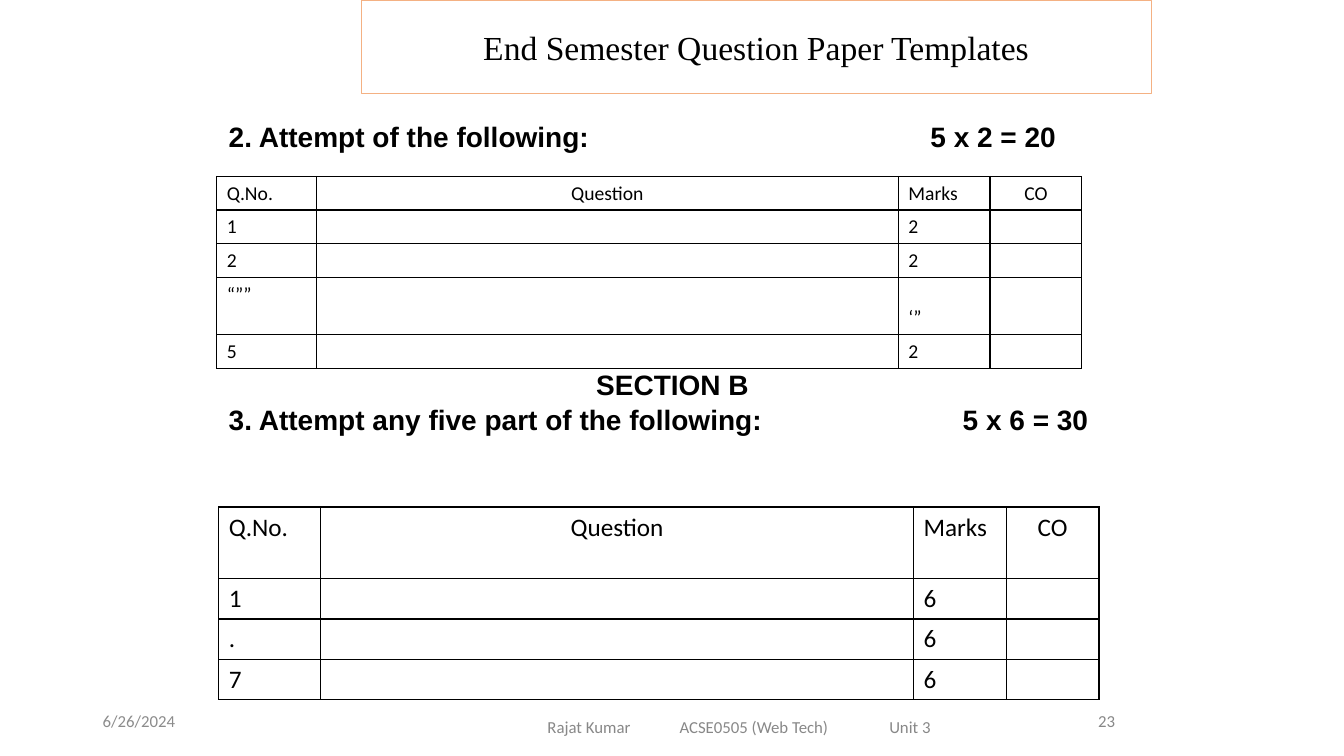
from lxml.etree import SubElement
from pptx import Presentation
from pptx.dml.color import RGBColor
from pptx.enum.shapes import MSO_SHAPE
from pptx.enum.text import MSO_ANCHOR, PP_ALIGN
from pptx.oxml.ns import qn
from pptx.util import Inches, Pt

HEADS = ["Q.No.", "Question", "Marks", "CO"]


def color(code):
    return RGBColor.from_string(code)


def write(para, text, size, face="Calibri", tint="000000", **form):
    """Add one run; form holds paragraph format values."""
    run = para.add_run()
    run.text = text
    font = run.font
    for name, value in {"size": Pt(size), "name": face, "bold": form.pop("bold", False)}.items():
        setattr(font, name, value)
    font.color.rgb = color(tint)
    for name, value in form.items():
        setattr(para, name, value)


def add_tabs(para, *stops):
    """Set left tab stops, in inches from the text edge."""
    tabs = SubElement(para._p.get_or_add_pPr(), qn("a:tabLst"))
    for stop in stops:
        SubElement(tabs, qn("a:tab"), pos=str(Inches(stop)), algn="l")


def add_box(slide, place, anchor=MSO_ANCHOR.MIDDLE):
    frame = slide.shapes.add_textbox(*map(Inches, place)).text_frame
    frame.word_wrap = True
    frame.vertical_anchor = anchor
    return frame


def add_title(slide, text):
    box = slide.shapes.add_shape(MSO_SHAPE.RECTANGLE, *map(Inches, (3.58, 0, 7.84, 0.93)))
    box.shadow.inherit = False
    box.fill.background()
    box.line.color.rgb = color("F4B183")
    box.line.width = Pt(0.5)
    box.text_frame.vertical_anchor = MSO_ANCHOR.MIDDLE
    write(box.text_frame.paragraphs[0], text, 24, "Times New Roman", alignment=PP_ALIGN.CENTER)


def add_body(slide):
    frame = add_box(slide, (2.17, 1.17, 9, 5.2), MSO_ANCHOR.TOP)
    lines = [
        ("2. Attempt of the following:\t5 x 2 = 20", PP_ALIGN.LEFT, 3.6, 6.96),
        ("SECTION B", PP_ALIGN.CENTER, 156, None),
        ("3. Attempt any five part of the following:\t5 x 6 = 30", PP_ALIGN.LEFT, 3.6, 7.28),
    ]
    for i, (text, align, gap, stop) in enumerate(lines):
        para = frame.add_paragraph() if i else frame.paragraphs[0]
        write(para, text, 20, "Arial", bold=True, alignment=align,
              line_spacing=0.9, space_before=Pt(gap))
        if stop:
            add_tabs(para, stop)


def edge_cell(cell):
    """Draw black borders, placed before the fill as the schema asks."""
    props = cell._tc.get_or_add_tcPr()
    for i, side in enumerate(("lnL", "lnR", "lnT", "lnB")):
        line = SubElement(props, qn(f"a:{side}"), w=str(Pt(1)))
        fill = SubElement(line, qn("a:solidFill"))
        SubElement(fill, qn("a:srgbClr"), val="000000")
        props.insert(i, line)


def add_grid(slide, place, cols, highs, rows, size):
    """Add a question table; rows hold number and marks pairs."""
    data = [HEADS] + [[number, "", marks, ""] for number, marks in rows]
    table = slide.shapes.add_table(len(data), len(cols), *map(Inches, place)).table
    table.first_row = table.horz_banding = False
    for col, wide in zip(table.columns, cols):
        col.width = Inches(wide)
    for row, high, texts in zip(table.rows, highs, data):
        row.height = Inches(high)
        for j, (cell, text) in enumerate(zip(row.cells, texts)):
            cell.fill.solid()
            cell.fill.fore_color.rgb = color("FFFFFF")
            edge_cell(cell)
            para = cell.text_frame.paragraphs[0]
            if text:
                write(para, text, size, alignment=PP_ALIGN.CENTER if j % 2 else PP_ALIGN.LEFT)
            else:
                SubElement(para._p, qn("a:endParaRPr"), sz=str(size * 100))
    return table


def add_foot(slide):
    frame = add_box(slide, (3.73, 7.03, 5.6, 0.37))
    frame.margin_left = Inches(1.7)
    para = frame.paragraphs[0]
    write(para, "Rajat Kumar\tACSE0505 (Web Tech)\tUnit 3", 12, tint="888888")
    add_tabs(para, 1.31, 3.39)
    for text, left, wide, tint, align in (
        ("23", 8.83, 2.33, "888888", PP_ALIGN.RIGHT),
        ("6/26/2024", 0.92, 3, "8C8C8C", PP_ALIGN.LEFT),
    ):
        frame = add_box(slide, (left, 6.95, wide, 0.4))
        write(frame.paragraphs[0], text, 12, tint=tint, alignment=align)


def main():
    deck = Presentation()
    deck.slide_width, deck.slide_height = Inches(13.33), Inches(7.5)
    slide = deck.slides.add_slide(deck.slide_layouts[6])
    add_title(slide, "End Semester Question Paper Templates")
    add_body(slide)
    short = add_grid(slide, (2.15, 1.75, 8.57, 1.9), (0.99, 5.77, 0.91, 0.91),
                     (0.33, 0.33, 0.33, 0.57, 0.33),
                     [("1", "2"), ("2", "2"), ("“””", "‘”"), ("5", "2")], 14)
    short.cell(3, 2).vertical_anchor = MSO_ANCHOR.BOTTOM
    add_grid(slide, (2.17, 5.03, 8.73, 1.92), (1.01, 5.88, 0.92, 0.92),
             (0.71, 0.4, 0.4, 0.4), [("1", "6"), (".", "6"), ("7", "6")], 18)
    add_foot(slide)
    deck.save("out.pptx")


if __name__ == "__main__":
    main()
